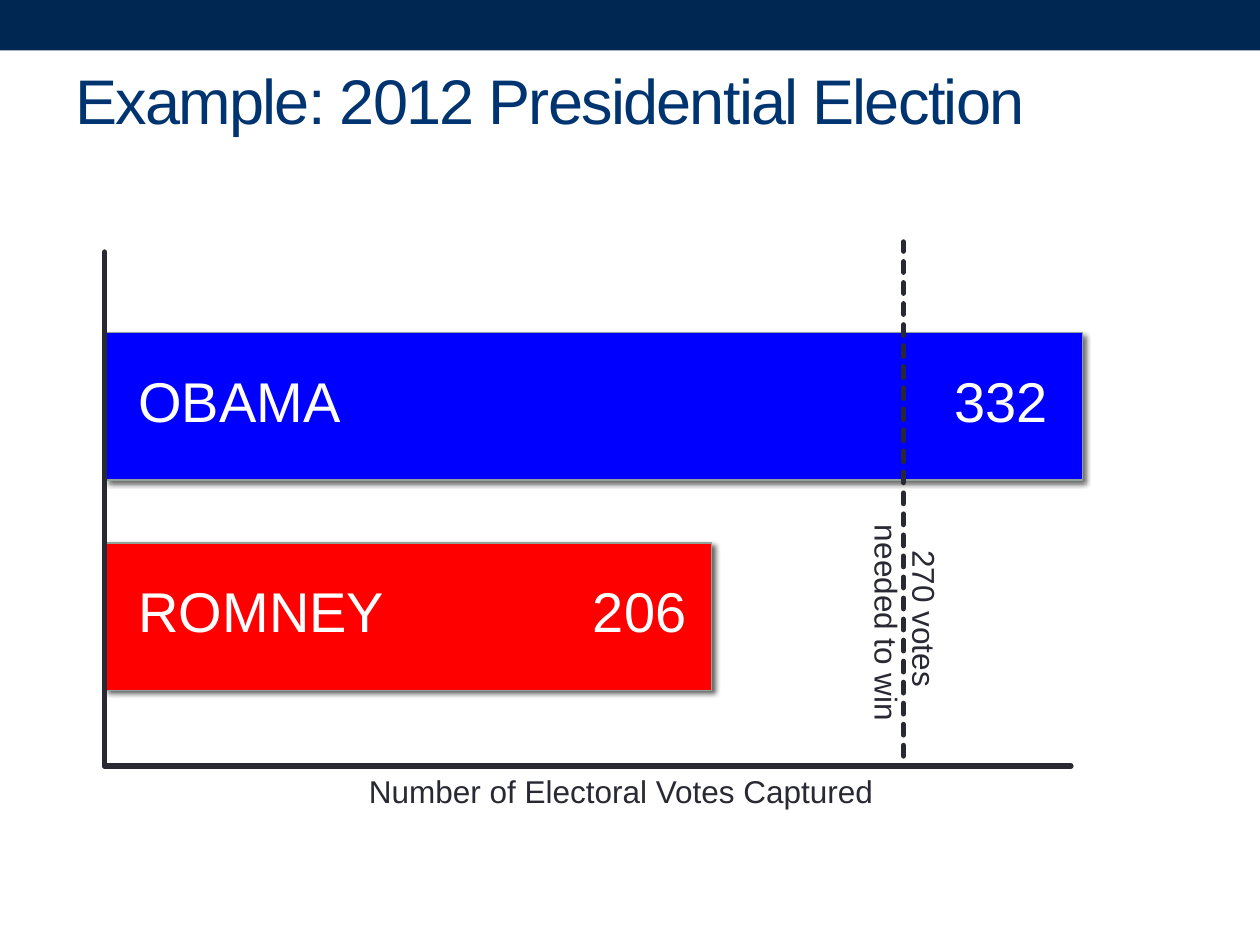
from dataclasses import dataclass
from typing import Any, Optional

from lxml.etree import SubElement as Sub
from pptx import Presentation
from pptx.dml.color import RGBColor
from pptx.enum.dml import MSO_LINE as Dash
from pptx.enum.shapes import MSO_CONNECTOR as Conn, MSO_SHAPE as Form
from pptx.enum.text import MSO_ANCHOR as Anchor, MSO_AUTO_SIZE as Fit, PP_ALIGN as Align
from pptx.oxml.ns import qn
from pptx.util import Inches, Pt

NAVY = RGBColor(0x00, 0x26, 0x52)
TITLE = RGBColor(0x00, 0x34, 0x70)
INK = RGBColor(0x29, 0x29, 0x34)
EDGE = RGBColor(0x93, 0xA2, 0x99)
BLUE = RGBColor(0x00, 0x00, 0xFF)
RED = RGBColor(0xFF, 0x00, 0x00)
WHITE = RGBColor(0xFF, 0xFF, 0xFF)

BAR_LEFT, BAR_HIGH, TEXT_LEFT = 0.84, 1.17, 1.0
AXIS_X, AXIS_Y, GOAL_X = 0.83, 6.08, 7.17


@dataclass
class Bar:
    name: str
    votes: int
    top: float
    width: float
    tab: float
    color: RGBColor


@dataclass
class Rule:
    start: tuple[float, float]
    end: tuple[float, float]
    dash: Optional[Dash] = None


@dataclass
class Label:
    lines: list[str]
    box: tuple[float, float, float, float]
    size: int
    color: RGBColor
    wrap: bool = True
    fit: Fit = Fit.SHAPE_TO_FIT_TEXT
    anchor: Anchor = Anchor.TOP
    align: Align = Align.LEFT
    turn: int = 0
    tab: Optional[float] = None
    spacing: Optional[int] = None


BARS = [
    Bar("OBAMA", 332, 2.64, 7.75, 7.22, BLUE),
    Bar("ROMNEY", 206, 4.31, 4.81, 4.35, RED),
]
RULES = [
    Rule((GOAL_X, 6), (GOAL_X, 1.92), Dash.SQUARE_DOT),
    Rule((AXIS_X, AXIS_Y), (AXIS_X, 2)),
    Rule((8.5, AXIS_Y), (AXIS_X, AXIS_Y)),
]
HEAD = Label(["Example: 2012 Presidential Election"], (0.5, 0.25, 9, 1.08), 36, TITLE,
             fit=Fit.NONE, anchor=Anchor.MIDDLE, spacing=-100)
AXIS = Label(["Number of Electoral Votes Captured"], (2.83, AXIS_Y, 4.24, 0.4),
             18, INK, wrap=False)
GOAL = Label(["270 votes ", "needed to win"], (6.3, 4.59, 1.77, 0.71), 18, INK,
             wrap=False, align=Align.CENTER, turn=90)


def assign(target: Any, values: dict[str, Any]) -> None:
    for name, value in values.items():
        setattr(target, name, value)


def add_block(shapes: Any, box: tuple[float, ...], color: RGBColor) -> Any:
    block = shapes.add_shape(Form.RECTANGLE, *map(Inches, box))
    block.fill.solid()
    block.fill.fore_color.rgb = color
    block.line.fill.background()
    block.shadow.inherit = False
    return block


def add_label(shapes: Any, label: Label) -> None:
    box = shapes.add_textbox(*map(Inches, label.box))
    box.rotation = label.turn
    frame = box.text_frame
    assign(frame, {"word_wrap": label.wrap, "auto_size": label.fit,
                   "vertical_anchor": label.anchor})
    for i, line in enumerate(label.lines):
        para = frame.add_paragraph() if i else frame.paragraphs[0]
        para.alignment = label.align
        if label.tab is not None:
            tabs = Sub(para._p.get_or_add_pPr(), qn("a:tabLst"))
            Sub(tabs, qn("a:tab"), pos=str(Inches(label.tab)), algn="r")
        run = para.add_run()
        run.text = line
        assign(run.font, {"name": "Arial", "size": Pt(label.size)})
        run.font.color.rgb = label.color
        if label.spacing is not None:
            run._r.get_or_add_rPr().set("spc", str(label.spacing))


def add_bar(shapes: Any, bar: Bar) -> None:
    block = add_block(shapes, (BAR_LEFT, bar.top, bar.width, BAR_HIGH), bar.color)
    block.line.color.rgb = EDGE
    block.line.width = Pt(0.75)
    effects = block._element.spPr.find(qn("a:effectLst"))
    shade = Sub(effects, qn("a:outerShdw"), blurRad=str(Pt(3)), dist=str(Pt(2)),
                dir="2700000", algn="tl", rotWithShape="0")
    black = Sub(shade, qn("a:srgbClr"), val="000000")
    Sub(black, qn("a:alpha"), val="60000")


def add_name(shapes: Any, bar: Bar) -> None:
    width = BAR_LEFT + bar.width - TEXT_LEFT
    add_label(shapes, Label([f"{bar.name}\t{bar.votes}"],
                            (TEXT_LEFT, bar.top + 0.22, width, 0.64),
                            32, WHITE, tab=bar.tab))


def add_rule(shapes: Any, rule: Rule) -> None:
    line = shapes.add_connector(Conn.STRAIGHT, *map(Inches, rule.start + rule.end))
    line.line.color.rgb = INK
    assign(line.line, {"width": Pt(3), "dash_style": rule.dash})
    props = line._element.spPr
    props.find(qn("a:ln")).set("cap", "rnd")
    Sub(props, qn("a:effectLst"))


def main() -> None:
    deck = Presentation()
    assign(deck, {"slide_width": Inches(10), "slide_height": Inches(7.5)})
    shapes = deck.slides.add_slide(deck.slide_layouts[6]).shapes
    add_block(shapes, (0, 0, 10, 0.4), NAVY)
    add_label(shapes, HEAD)
    add_label(shapes, AXIS)
    for bar in BARS:
        add_bar(shapes, bar)
    for bar in BARS:
        add_name(shapes, bar)
    for rule in RULES:
        add_rule(shapes, rule)
    add_label(shapes, GOAL)
    deck.save("out.pptx")


if __name__ == "__main__":
    main()
